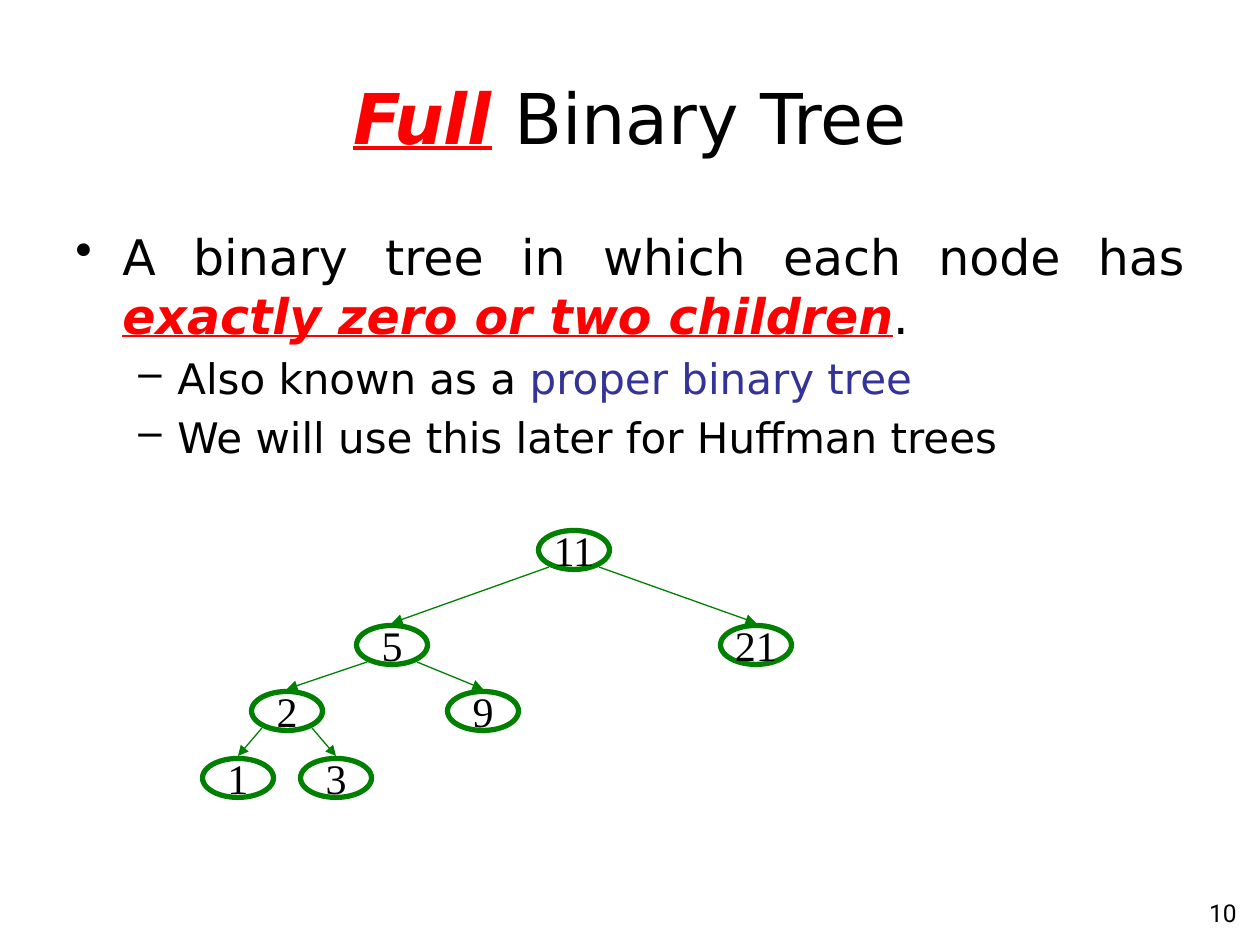
from lxml.etree import SubElement
from pptx import Presentation
from pptx.dml.color import RGBColor
from pptx.enum.shapes import MSO_CONNECTOR, MSO_SHAPE
from pptx.enum.text import MSO_ANCHOR, PP_ALIGN
from pptx.oxml.ns import qn
from pptx.util import Pt

EMU_PER_PX = 914400 / 126
COLORS = {"text": "000000", "key": "FF0000", "term": "333399", "tree": "008000"}
EMPHASIS = {"bold": True, "italic": True, "underline": True}
KEY = ("key", EMPHASIS)
PLAIN = ("text", {})
TERM = ("term", {})


def px(n):
    return round(n * EMU_PER_PX)


def color(name):
    return RGBColor.from_string(COLORS[name])


class Deck:
    font = "DejaVu Sans"
    node_font = "Times New Roman"
    number_font = "Roboto"
    node_w, node_h = 71, 39

    def __init__(self, width, height):
        self.prs = Presentation()
        self.prs.slide_width, self.prs.slide_height = px(width), px(height)
        self.s = self.prs.slides.add_slide(self.prs.slide_layouts[6])

    def runs(self, p, parts, size, font=None):
        for text, (tint, flags) in parts:
            r = p.add_run()
            r.text = text
            r.font.color.rgb = color(tint)
            style = {"name": font or self.font, "size": Pt(size), **flags}
            for key, value in style.items():
                setattr(r.font, key, value)

    def box(self, x, y, w, h, anchor=MSO_ANCHOR.TOP):
        tf = self.s.shapes.add_textbox(px(x), px(y), px(w), px(h)).text_frame
        tf.word_wrap = True
        tf.vertical_anchor = anchor
        return tf

    def line(self, rect, parts, size, align, font=None, anchor=MSO_ANCHOR.TOP):
        p = self.box(*rect, anchor).paragraphs[0]
        p.alignment = align
        self.runs(p, parts, size, font)

    def bullets(self, rect, items):
        tf = self.box(*rect)
        for i, (level, parts) in enumerate(items):
            p = tf.add_paragraph() if i else tf.paragraphs[0]
            size, char, left, hang = ((28, "•", 47, 47), (24, "–", 102, 39))[level]
            p.level = level
            p.alignment = PP_ALIGN.JUSTIFY
            p.space_before = Pt(size * 0.2)
            pPr = p._p.get_or_add_pPr()
            pPr.set("marL", str(px(left)))
            pPr.set("indent", str(-px(hang)))
            SubElement(pPr, qn("a:buChar")).set("char", char)
            self.runs(p, parts, size)

    def node(self, label, x, y):
        w, h = self.node_w, self.node_h
        sp = self.s.shapes.add_shape(
            MSO_SHAPE.OVAL, px(x - w / 2), px(y - h / 2), px(w), px(h))
        sp.shadow.inherit = False
        sp.fill.background()
        sp.line.color.rgb = color("tree")
        sp.line.width = Pt(3)
        tf = sp.text_frame
        tf.word_wrap = False
        tf.vertical_anchor = MSO_ANCHOR.MIDDLE
        p = tf.paragraphs[0]
        p.alignment = PP_ALIGN.CENTER
        self.runs(p, [(label, PLAIN)], 24, self.node_font)

    def edge(self, parent, child):
        (x1, y1), (x2, y2) = parent, child
        side = 25 if x2 > x1 else -25
        c = self.s.shapes.add_connector(
            MSO_CONNECTOR.STRAIGHT, px(x1 + side), px(y1 + 17), px(x2), px(y2 - 22))
        c.line.color.rgb = color("tree")
        c.line.width = Pt(0.75)
        SubElement(c.line._get_or_add_ln(), qn("a:tailEnd")).set("type", "triangle")
        SubElement(c._element.spPr, qn("a:effectLst"))


def main():
    deck = Deck(1260, 945)
    deck.line((987, 892, 262, 47), [("10", PLAIN)], 14, PP_ALIGN.RIGHT,
              font=deck.number_font)
    deck.line((63, 38, 1134, 158), [("Full", KEY), (" Binary Tree", PLAIN)], 40,
              PP_ALIGN.CENTER, anchor=MSO_ANCHOR.MIDDLE)
    deck.bullets((63, 220, 1134, 624), [
        (0, [("A binary tree in which each node has ", PLAIN),
             ("exactly zero or two children", KEY), (".", PLAIN)]),
        (1, [("Also known as a ", PLAIN), ("proper binary tree", TERM)]),
        (1, [("We will use this later for Huffman trees", PLAIN)]),
    ])

    levels = [550, 645, 711, 778]
    tree = {
        "11": (574, 0, None),
        "5": (392, 1, "11"), "21": (756, 1, "11"),
        "2": (287, 2, "5"), "9": (483, 2, "5"),
        "1": (238, 3, "2"), "3": (336, 3, "2"),
    }
    centers = {label: (x, levels[depth]) for label, (x, depth, _) in tree.items()}
    for label, (_, _, parent) in tree.items():
        deck.node(label, *centers[label])
        if parent:
            deck.edge(centers[parent], centers[label])

    deck.prs.save("out.pptx")


if __name__ == "__main__":
    main()
